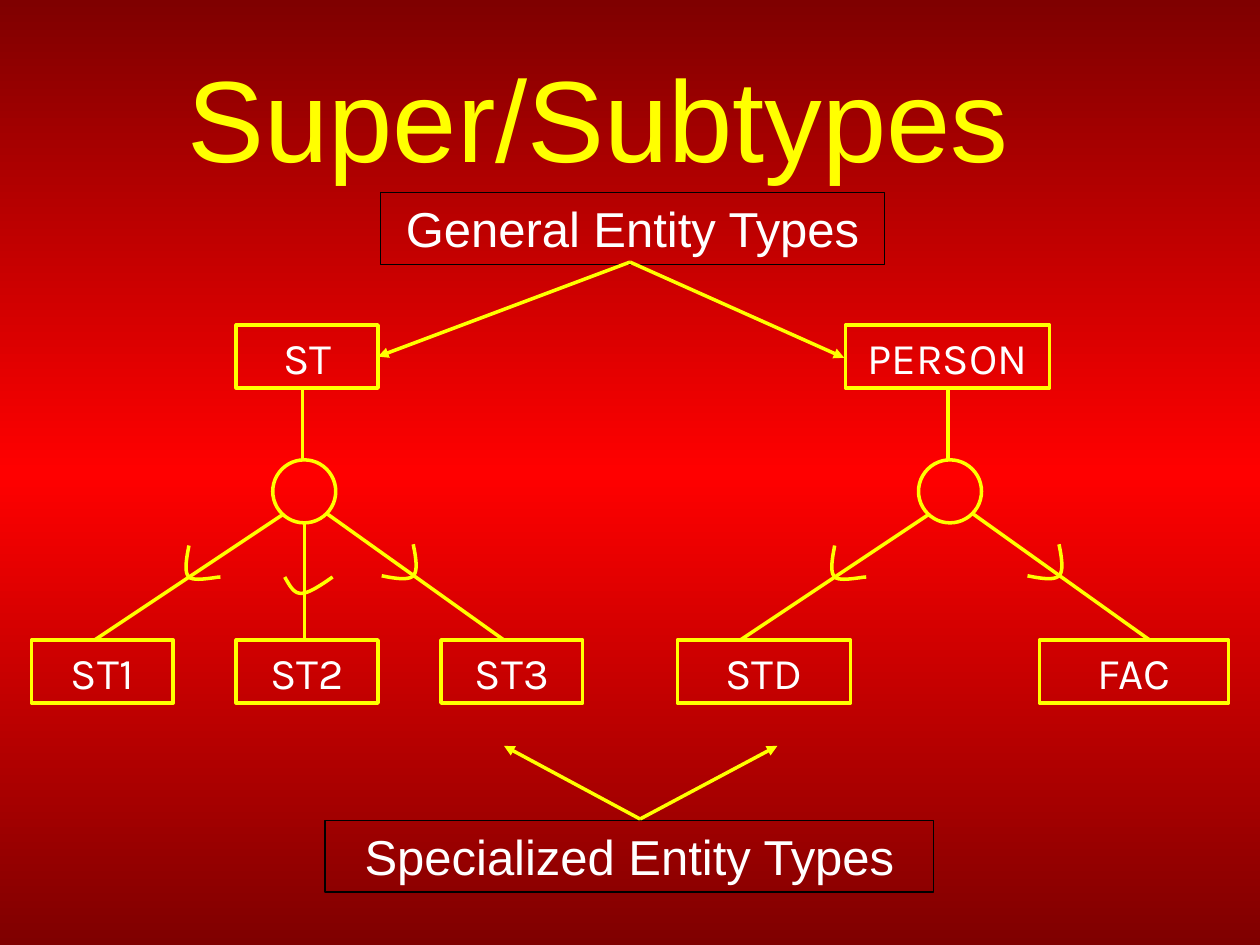
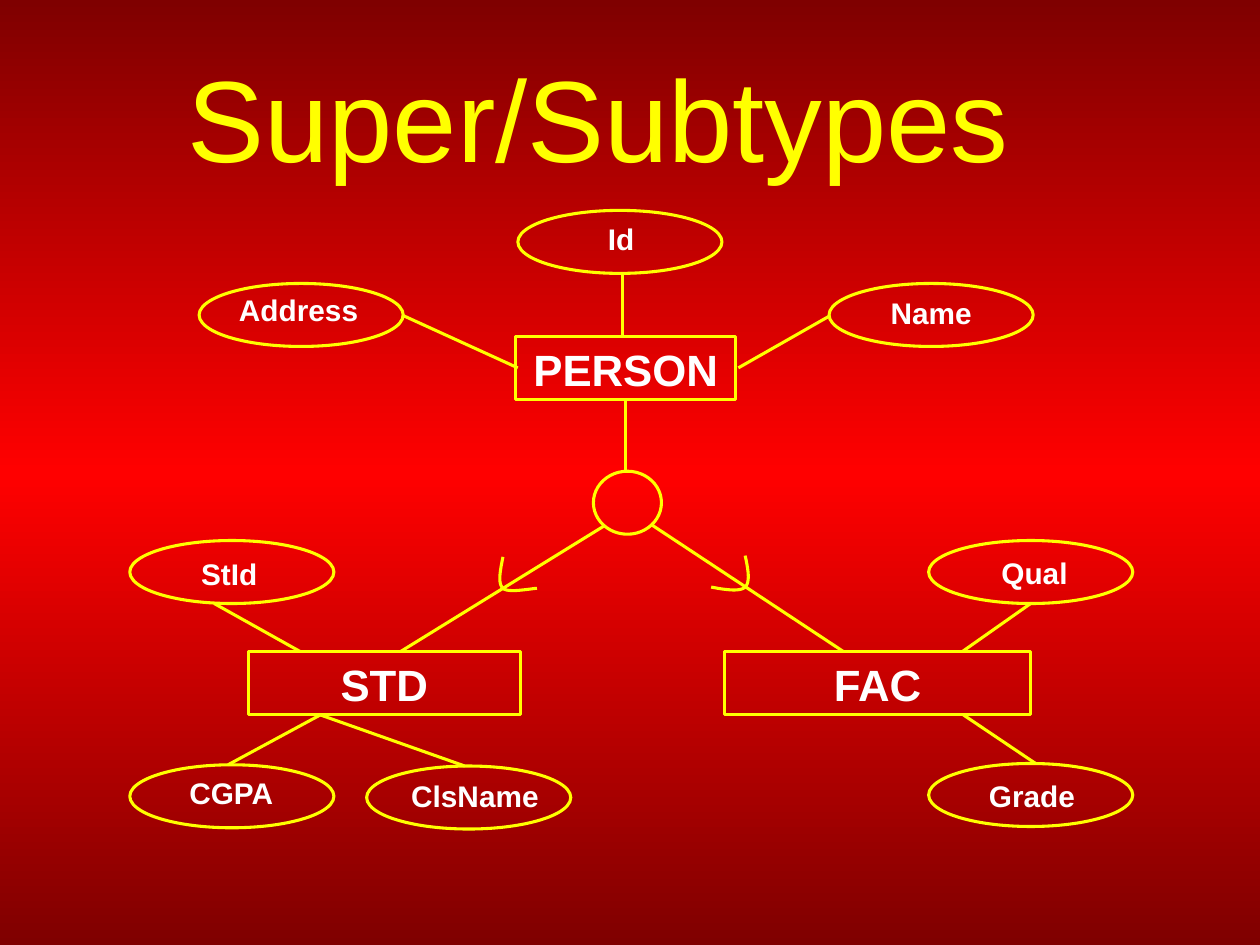
from copy import deepcopy

from lxml import etree
from pptx import Presentation
from pptx.dml.color import RGBColor
from pptx.enum.shapes import MSO_CONNECTOR, MSO_SHAPE
from pptx.enum.text import MSO_ANCHOR, PP_ALIGN
from pptx.oxml.ns import qn
from pptx.util import Inches, Pt

YELLOW = RGBColor(0xFF, 0xFF, 0x00)
WHITE = RGBColor(0xFF, 0xFF, 0xFF)
BLACK = RGBColor(0x00, 0x00, 0x00)
RED = RGBColor(0xFF, 0x00, 0x00)
DARK_RED = RGBColor(0x7F, 0x00, 0x00)

# The slide is a grid of 100 columns by 75 rows; all lengths are in cells
COLUMNS, ROWS = 100, 75
SLIDE_WIDTH, SLIDE_HEIGHT = Inches(10), Inches(7.5)
CELL = SLIDE_WIDTH // COLUMNS
BOX_HEIGHT = 5
OVAL_WIDTH = 16.2
LABEL_HEIGHT = 3.7

# Subset marks: two joined Bezier curves, measured from the circle's centre
LEFT_MARK = [(-9.15, 4.3), (-9.35, 5.4), (-9.55, 6.4), (-9.15, 6.8),
             (-8.75, 7.2), (-7.05, 6.8), (-6.65, 6.8)]
RIGHT_MARK = [(8.65, 4.2), (8.85, 5.2), (9.05, 6.3), (8.65, 6.7),
              (8.25, 7.1), (7.15, 6.9), (6.15, 6.7)]
MIDDLE_MARK = [(-1.55, 6.8), (-1.15, 7.5), (-0.85, 8.1), (-0.25, 8.1),
               (0.35, 8.1), (1.25, 7.5), (2.25, 6.8)]


def cells(*lengths):
    return [round(length * CELL) for length in lengths]


def write(shape, text, size, color=WHITE, font="Arial", bold=False,
          anchor=MSO_ANCHOR.TOP):
    frame = shape.text_frame
    frame.word_wrap = True
    frame.vertical_anchor = anchor
    frame.text = text
    paragraph = frame.paragraphs[0]
    paragraph.alignment = PP_ALIGN.CENTER
    style = paragraph.runs[0].font
    style.name, style.size, style.bold = font, Pt(size), bold
    style.color.rgb = color


def outline(shape, weight, color=YELLOW):
    shape.shadow.inherit = False
    shape.fill.background()
    shape.line.color.rgb = color
    shape.line.width = Pt(weight)


def outlined(slide, kind, left, top, width, height, weight, color=YELLOW):
    shape = slide.shapes.add_shape(kind, *cells(left, top, width, height))
    outline(shape, weight, color)
    return shape


def text_box(slide, text, left, top, width, height, size, **style):
    box = slide.shapes.add_textbox(*cells(left, top, width, height))
    write(box, text, size, **style)


def link(slide, start, end, weight, arrow=False):
    line = slide.shapes.add_connector(MSO_CONNECTOR.STRAIGHT, *cells(*start, *end))
    line.line.color.rgb = YELLOW
    line.line.width = Pt(weight)
    if arrow:
        etree.SubElement(line.line._get_or_add_ln(), qn("a:tailEnd"), type="triangle")
    etree.SubElement(line._element.spPr, qn("a:effectLst"))


def bezier(controls, steps=12):
    """Points on a cubic curve, without its first point."""
    for step in range(1, steps + 1):
        t = step / steps
        weights = ((1 - t) ** 3, 3 * t * (1 - t) ** 2, 3 * t * t * (1 - t), t ** 3)
        yield tuple(sum(w * c[axis] for w, c in zip(weights, controls))
                    for axis in (0, 1))


def subset_mark(slide, center_x, center_y, mark, weight, stretch=1):
    points = [(center_x + x * stretch, center_y + y) for x, y in mark]
    curve = [*bezier(points[:4]), *bezier(points[3:])]
    builder = slide.shapes.build_freeform(*cells(*points[0]))
    builder.add_line_segments([cells(*point) for point in curve], close=False)
    outline(builder.convert_to_shape(), weight)


def subtype_fork(slide, center_x, center_y, weight, stretch=1):
    """Circle with a stem up to the supertype and two marked branches."""
    def at(x, y):
        return center_x + x * stretch, center_y + y

    outlined(slide, MSO_SHAPE.OVAL, *at(-2.5, -2.5), 5 * stretch, 5, weight)
    link(slide, at(-0.15, -8.2), at(-0.15, -2.5), weight)
    link(slide, at(-1.65, 1.8), at(-16.65, 11.8), weight)
    link(slide, at(1.7, 1.7), at(15.85, 11.8), weight)
    for mark in (LEFT_MARK, RIGHT_MARK):
        subset_mark(slide, center_x, center_y, mark, weight, stretch)


def entity(slide, name, left, top, width, weight, **style):
    box = outlined(slide, MSO_SHAPE.RECTANGLE, left, top, width, BOX_HEIGHT, weight)
    write(box, name, 25, **style)


def caption(slide, text, left, top, width):
    box = outlined(slide, MSO_SHAPE.RECTANGLE, left, top, width, 5.7, 0.75, BLACK)
    write(box, text, 28)


def attribute(slide, name, left, top, label_center, label_top, weight):
    outlined(slide, MSO_SHAPE.OVAL, left, top, OVAL_WIDTH, BOX_HEIGHT, weight)
    text_box(slide, name, label_center - OVAL_WIDTH / 2, label_top,
             OVAL_WIDTH, LABEL_HEIGHT, 17, bold=True)


def titled_slide(prs):
    slide = prs.slides.add_slide(prs.slide_layouts[6])
    fill = slide.background.fill
    fill.gradient()
    fill.gradient_angle = 270
    stop_list = slide.element.xpath(".//a:gsLst")[0]
    stop_list.insert(1, deepcopy(stop_list[0]))
    for stop, position, color in zip(fill.gradient_stops, (0, 0.5, 1),
                                     (DARK_RED, RED, DARK_RED)):
        stop.position = position
        stop.color.rgb = color
    text_box(slide, "Super/Subtypes", 0, 3, 95, 12.5, 66, color=YELLOW,
             anchor=MSO_ANCHOR.MIDDLE)
    return slide


def entity_types_slide(prs):
    slide = titled_slide(prs)
    weight = 2
    super_top, sub_top, circle_y = 25.8, 50.8, 39
    st_x, person_x = 24.15, 75.4

    # Supertypes and subtypes
    for name, left, top, width in (
            ("ST", 18.75, super_top, 11.25), ("PERSON", 67.1, super_top, 16.2),
            ("STD", 53.75, sub_top, 13.75), ("FAC", 82.5, sub_top, 15)):
        entity(slide, name, left, top, width, weight, font="Karla")
    for index in range(3):
        entity(slide, f"ST{index + 1}", 2.5 + 16.25 * index, sub_top, 11.25,
               weight, font="Karla")

    # Forks, with a third branch below ST
    for center_x in (st_x, person_x):
        subtype_fork(slide, center_x, circle_y, weight)
    link(slide, (st_x, circle_y + 2.5), (st_x, sub_top), weight)
    subset_mark(slide, st_x, circle_y, MIDDLE_MARK, weight)

    # Captions and their arrows
    caption(slide, "General Entity Types", 30.2, 15.3, 40)
    caption(slide, "Specialized Entity Types", 25.8, 65.1, 48.3)
    for start, end in (((50, 20.8), (30, 28.3)), ((50, 20.8), (67, 28.4)),
                       ((50.8, 65), (61.7, 59.2)), ((50.8, 65), (40, 59.2))):
        link(slide, start, end, weight, arrow=True)


def attributes_slide(prs):
    slide = titled_slide(prs)
    weight = 1.75

    # Entities and fork
    for name, left, top, width in (("PERSON", 40.9, 26.7, 17.5),
                                   ("STD", 19.7, 51.7, 21.6),
                                   ("FAC", 57.5, 51.7, 24.3)):
        entity(slide, name, left, top, width, weight, bold=True)
    subtype_fork(slide, 49.8, 39.9, weight, stretch=1.08)

    # Attributes: oval left and top, label centre and top
    for name, *place in (
            ("Id", 41.1, 16.7, 49.3, 17), ("Address", 15.8, 22.5, 23.7, 22.7),
            ("Name", 65.8, 22.5, 73.9, 22.9), ("StId", 10.3, 42.9, 18.2, 43.6),
            ("Qual", 73.7, 42.9, 82.1, 43.5), ("CGPA", 10.3, 60.7, 18.35, 61),
            ("ClsName", 29.1, 60.8, 37.7, 61.2), ("Grade", 73.7, 60.6, 81.9, 61.2)):
        attribute(slide, name, *place, weight)

    # Links from attributes to entities
    for start, end in (
            ((49.4, 21.7), (49.4, 26.7)), ((31.9, 25), (41.1, 29.2)),
            ((65.8, 25.1), (58.6, 29.2)), ((17, 47.9), (23.8, 51.7)),
            ((18.1, 60.7), (25.5, 56.7)), ((36.9, 60.8), (25.3, 56.7)),
            ((81.8, 47.9), (76.4, 51.7)), ((82.2, 60.6), (76.4, 56.7))):
        link(slide, start, end, weight)


def main():
    prs = Presentation()
    prs.slide_width, prs.slide_height = SLIDE_WIDTH, SLIDE_HEIGHT
    entity_types_slide(prs)
    attributes_slide(prs)
    prs.save("out.pptx")


if __name__ == "__main__":
    main()
